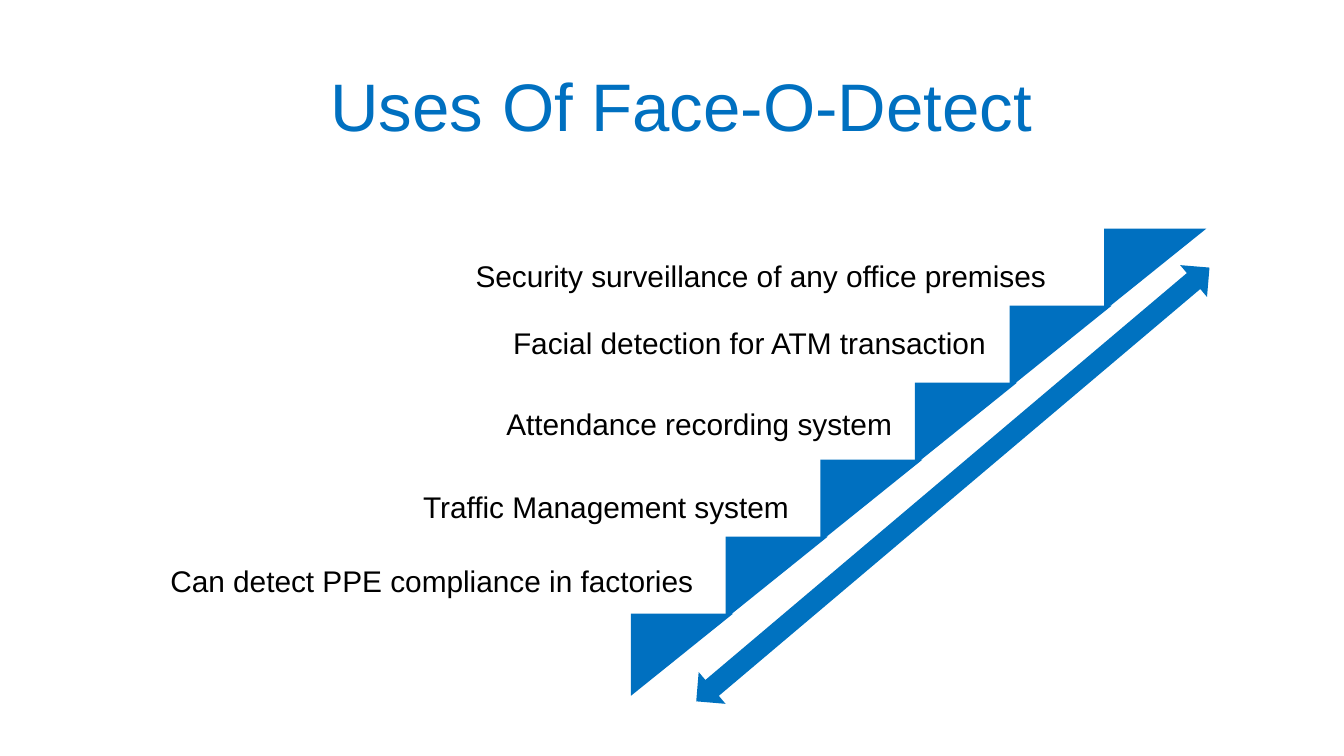
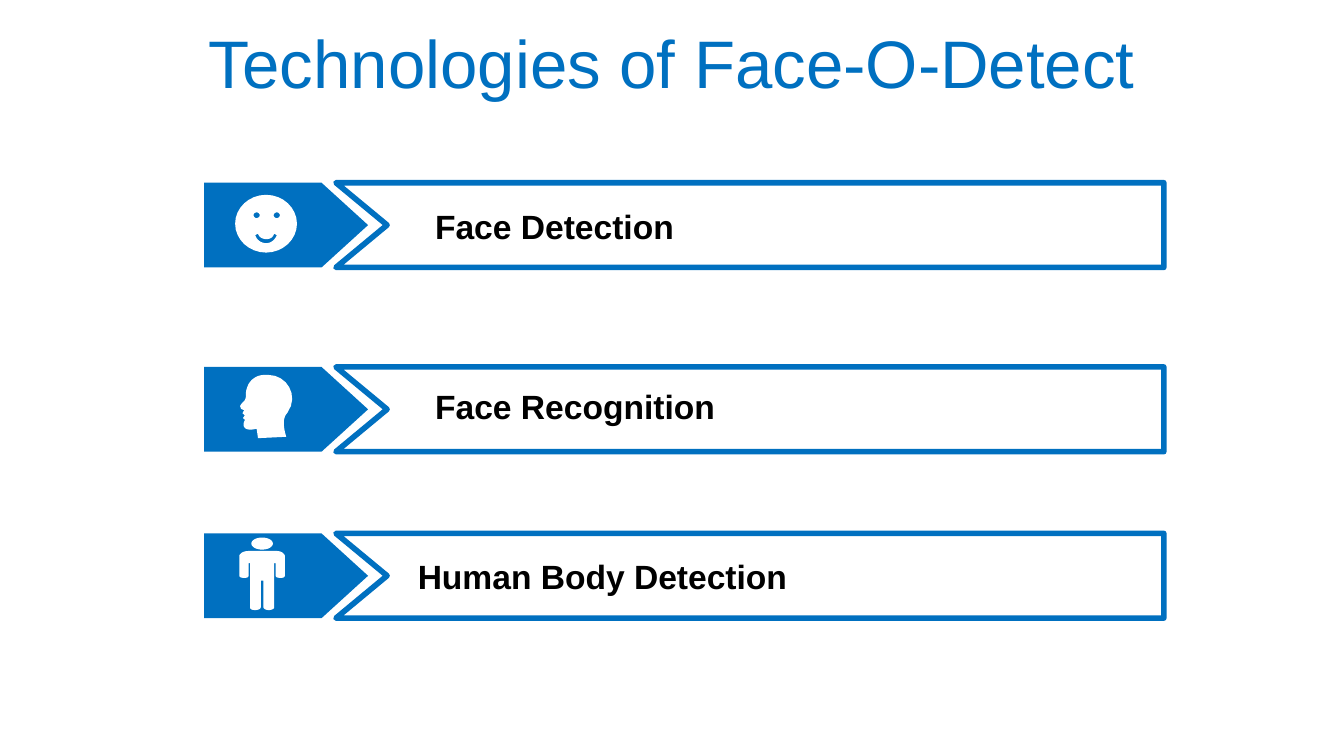
from dataclasses import dataclass

from lxml import etree
from pptx import Presentation
from pptx.dml.color import RGBColor
from pptx.enum import shapes as sh, text as tx
from pptx.oxml.ns import qn
from pptx.util import Pt


@dataclass(frozen=True)
class Theme:
    font: str = "Arial"
    blue: str = "0070C0"
    arrow_blue: str = "0072C0"
    white: str = "FFFFFF"
    black: str = "000000"
    title_size: int = 36
    use_size: int = 16
    technology_size: int = 18
    outline: int = 3


THEME = Theme()


def ellipse(cx, cy, rx, ry):
    """Path of an ellipse made of four curves."""
    kx, ky = 0.55 * rx, 0.55 * ry
    return (f"M {cx} {cy - ry} "
            f"C {cx + kx} {cy - ry} {cx + rx} {cy - ky} {cx + rx} {cy} "
            f"C {cx + rx} {cy + ky} {cx + kx} {cy + ry} {cx} {cy + ry} "
            f"C {cx - kx} {cy + ry} {cx - rx} {cy + ky} {cx - rx} {cy} "
            f"C {cx - rx} {cy - ky} {cx - kx} {cy - ry} {cx} {cy - ry} ")


# Content: uses, from the top stair down (text, left, top, width)
USES_TITLE = ("Uses Of Face-O-Detect", (68.4, 38.2, 593.3, 36))
USES = [
    ("Security surveillance of any office premises", 247.7, 134.6, 401),
    ("Facial detection for ATM transaction", 267.8, 170.6, 360),
    ("Attendance recording system", 264.2, 213.8, 360),
    ("Traffic Management system", 219.6, 258.5, 360),
    ("Can detect PPE compliance in factories", 84.2, 298.1, 360),
]
STAIR_COUNT = 6
STAIR_START, STAIR_STEP, STAIR_SIZE = (343.4, 323.4), (50.7, -41.25), (44, 54.7)
ARROW_BOX, ARROW_TURN = (330.5, 248.4, 360, 22.3), 319.8

# Content: icon outlines, on a grid of ICON_UNIT points
ICON_UNIT = 0.72
SMILEY = (ellipse(23, 21.5, 23, 21.5) + ellipse(16, 15.2, 2.3, 2.1)
          + ellipse(31, 15.2, 2.3, 2.1)
          + "M 29 29 C 28 32 26 33 23 33 C 21 33 18 32 17 29 L 15 30 "
            "C 16 34 20 36 23 36 C 27 36 30 33 31 30")
PROFILE = ("M 21 0 C 13 -1 7 3 5 9 C 3 14 5 16 3 19 C 1 21 -1 23 0 24 "
           "C 0 25 1 26 3 26 C 2 27 1 29 2 29 L 3 30 C 3 31 2 31 2 32 "
           "C 2 33 4 33 3 34 C 2 36 2 38 3 39 C 4 41 8 41 12 40 "
           "L 13 47 L 34 46 C 31 36 32 31 35 28 C 44 15 34 0 21 0")
BODY = (ellipse(17, 4.5, 8, 4.5)
        + "M 7 10 L 28 10 C 31 10 34 12 34 14 L 34 28 C 34 30 32 30 31 30 "
          "C 29 30 27 30 27 28 L 27 19 L 26 19 L 26 52 C 26 53 24 54 22 54 "
          "C 20 54 18 53 18 52 L 18 32 L 16 32 L 16 52 C 16 53 14 54 12 54 "
          "C 9 54 8 53 8 52 L 8 19 L 7 19 L 7 28 C 7 30 5 30 4 30 "
          "C 2 30 0 30 0 28 L 0 14 C 0 12 3 10 7 10")

# Content: technologies (text, row top, text box, icon, icon corner)
TECHNOLOGIES_TITLE = ("Technologies of Face-O-Detect", (0, 10.1, 720, 45.4))
TECHNOLOGIES = [
    ("Face Detection", 97.9, (226, 106.6, 144, 28.8), SMILEY, (126, 104.4)),
    ("Face Recognition", 196.6, (226, 203, 166.3, 28.8), PROFILE, (128.9, 200.9)),
    ("Human Body Detection", 285.8, (216.7, 294.5, 214.6, 28.8), BODY, (128.2, 288)),
]
TAG_LEFT, TAG_WIDTH, ROW_HEIGHT, TAG_POINT = 109.4, 87.8, 45.4, 0.549
BAR_LEFT, BAR_RIGHT, BAR_NOTCH = 180, 623.5, 207.4


# Shared drawing
def pts(*lengths):
    return [Pt(length) for length in lengths]


def paint(shape, fill, line=None):
    shape.shadow.inherit = False
    shape.fill.solid()
    shape.fill.fore_color.rgb = RGBColor.from_string(fill)
    if line is None:
        shape.line.fill.background()
    else:
        shape.line.color.rgb = RGBColor.from_string(line)
        shape.line.width = Pt(THEME.outline)
        etree.SubElement(shape.line._get_or_add_ln(), qn("a:round"))
    return shape


def add_preset(slide, kind, box, fill=THEME.blue, turn=0):
    shape = paint(slide.shapes.add_shape(kind, *pts(*box)), fill)
    shape.rotation = turn
    return shape


def add_outline(slide, contours, fill, line=None):
    first, *others = contours
    builder = slide.shapes.build_freeform(*pts(*first[0]), scale=1.0)
    builder.add_line_segments([pts(*point) for point in first[1:]])
    for contour in others:
        builder.move_to(*pts(*contour[0]))
        builder.add_line_segments([pts(*point) for point in contour[1:]])
    return paint(builder.convert_to_shape(), fill, line)


def add_words(slide, words, box, size, color=THEME.black, bold=False, wrap=True):
    label = slide.shapes.add_textbox(*pts(*box))
    frame = label.text_frame
    frame.word_wrap = wrap
    run = frame.paragraphs[0].add_run()
    run.text = words
    run.font.name, run.font.size, run.font.bold = THEME.font, Pt(size), bold
    run.font.color.rgb = RGBColor.from_string(color)
    return frame


def add_title(slide, words, box):
    frame = add_words(slide, words, box, THEME.title_size, THEME.blue)
    frame.vertical_anchor = tx.MSO_ANCHOR.MIDDLE
    frame.paragraphs[0].alignment = tx.PP_ALIGN.CENTER
    frame.paragraphs[0].space_before = Pt(5.4)


def trace(outline, corner, steps=8):
    """Turn M, L and C commands into closed contours in points."""
    contours = []
    tokens = iter(outline.split())
    for command in tokens:
        count = 3 if command == "C" else 1
        ends = [tuple(start + ICON_UNIT * float(next(tokens)) for start in corner)
                for _ in range(count)]
        if command == "M":
            contours.append(ends)
        elif command == "L":
            contours[-1] += ends
        else:
            controls = [contours[-1][-1], *ends]
            for step in range(1, steps + 1):
                t = step / steps
                weights = ((1 - t) ** 3, 3 * t * (1 - t) ** 2, 3 * t * t * (1 - t), t ** 3)
                contours[-1].append(tuple(
                    sum(w * c[axis] for w, c in zip(weights, controls))
                    for axis in (0, 1)))
    return contours


# Slides
def build_uses(slide):
    add_title(slide, *USES_TITLE)
    for stair in range(STAIR_COUNT):
        corner = [start + stair * step for start, step in zip(STAIR_START, STAIR_STEP)]
        add_preset(slide, sh.MSO_SHAPE.RIGHT_TRIANGLE, (*corner, *STAIR_SIZE), turn=90)
    for words, left, top, width in USES:
        add_words(slide, words, (left, top, width, 26.6), THEME.use_size)
    add_preset(slide, sh.MSO_SHAPE.LEFT_RIGHT_ARROW, ARROW_BOX, THEME.arrow_blue, ARROW_TURN)


def build_technologies(slide):
    add_title(slide, *TECHNOLOGIES_TITLE)
    for words, top, box, icon, corner in TECHNOLOGIES:
        tag = add_preset(slide, sh.MSO_SHAPE.PENTAGON,
                         (TAG_LEFT, top, TAG_WIDTH, ROW_HEIGHT))
        tag.adjustments[0] = TAG_POINT
        bottom = top + ROW_HEIGHT
        bar = [(BAR_LEFT, top), (BAR_RIGHT, top), (BAR_RIGHT, bottom),
               (BAR_LEFT, bottom), (BAR_NOTCH, (top + bottom) / 2)]
        add_outline(slide, [bar], THEME.white, THEME.blue)
        add_outline(slide, trace(icon, corner), THEME.white)
        add_words(slide, words, box, THEME.technology_size, bold=True, wrap=False)


def main():
    deck = Presentation()
    deck.slide_width, deck.slide_height = pts(720, 405)
    blank = deck.slide_layouts[6]
    for build in (build_uses, build_technologies):
        build(deck.slides.add_slide(blank))
    deck.save("out.pptx")


if __name__ == "__main__":
    main()
